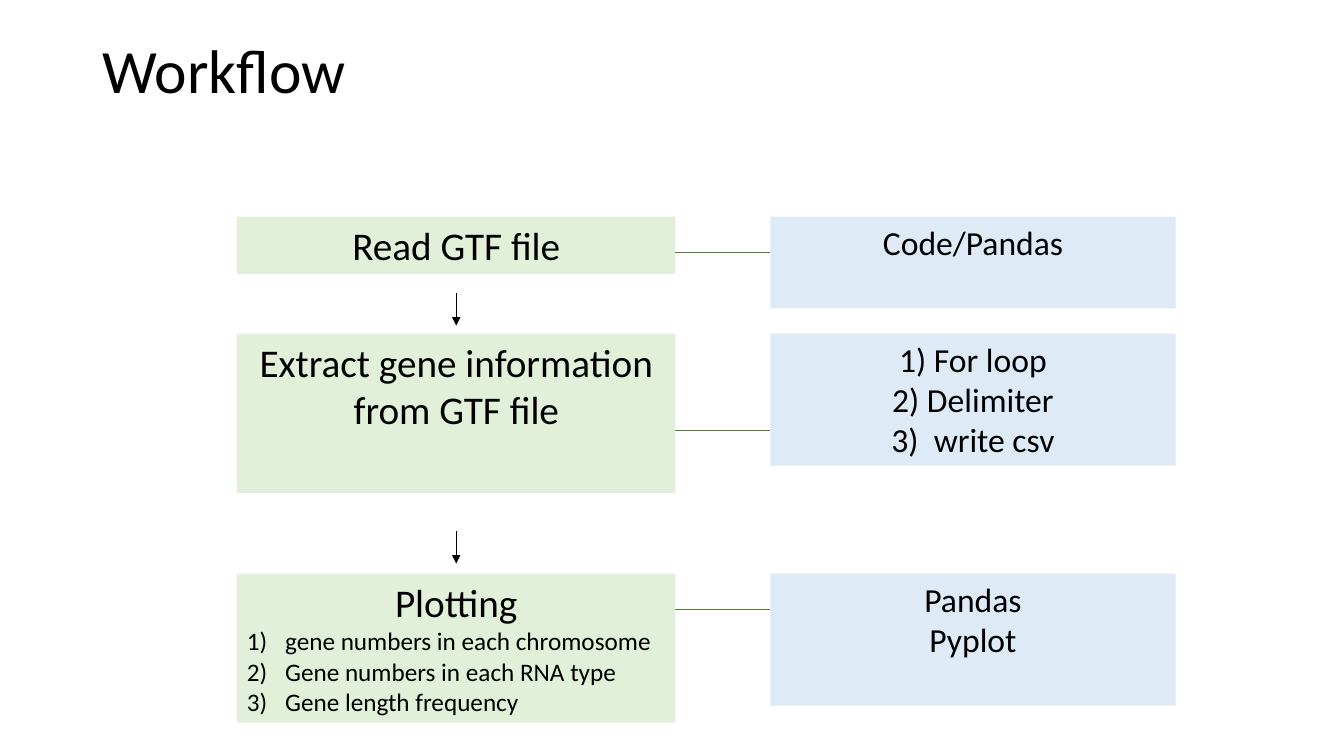
"""Build the gene annotation workflow slide."""
from lxml import etree
from pptx import Presentation, util as u
from pptx.dml.color import RGBColor
from pptx.enum import shapes, text
from pptx.oxml import ns

COLORS = {"step": "E2F0D9", "tool": "DEEBF7", "link": "548235", "ink": "000000"}

deck = Presentation()
deck.slide_width, deck.slide_height = u.Inches(13.33), u.Inches(7.5)
page = deck.slides.add_slide(deck.slide_layouts[6])


def write(box, lines, size, align=text.PP_ALIGN.CENTER, anchor=text.MSO_ANCHOR.TOP,
          spacing=1.0, list_size=None):
    """Fill a box with lines; with list_size, number all lines after the first."""
    frame = box.text_frame
    frame.word_wrap = True
    frame.vertical_anchor = anchor
    for index, line in enumerate(lines):
        para = frame.paragraphs[0] if index == 0 else frame.add_paragraph()
        numbered = list_size and index > 0
        para.alignment = text.PP_ALIGN.LEFT if numbered else align
        para.line_spacing = spacing
        if numbered:
            props = para._p.get_or_add_pPr()
            props.set("marL", str(u.Inches(0.38)))
            props.set("indent", str(u.Inches(-0.38)))
            etree.SubElement(props, ns.qn("a:buAutoNum"), type="arabicParenR")
        span = para.add_run()
        span.text = line
        span.font.name = "Calibri"
        span.font.size = u.Pt(list_size if numbered else size)
        span.font.color.rgb = RGBColor.from_string(COLORS["ink"])


def connect(start, end, color, arrow=False):
    """Draw a thin straight line between two points given in inches."""
    line = page.shapes.add_connector(
        shapes.MSO_CONNECTOR.STRAIGHT, *(u.Inches(value) for value in (*start, *end)))
    line.line.color.rgb = RGBColor.from_string(COLORS[color])
    line.line.width = u.Pt(0.5)
    if arrow:
        etree.SubElement(line.line._get_or_add_ln(), ns.qn("a:tailEnd"), type="triangle")
    etree.SubElement(line._element.spPr, ns.qn("a:effectLst"))


title = page.shapes.add_textbox(u.Inches(0.92), 0, u.Inches(11.5), u.Inches(1.45))
write(title, ["Workflow"], 44, align=text.PP_ALIGN.LEFT,
      anchor=text.MSO_ANCHOR.MIDDLE, spacing=0.9)

columns = {"step": (2.35, 4.35, 28), "tool": (7.64, 4.02, 24)}
rows = [
    (2.15, 2.5, {"step": (0.57, ["Read GTF file"]),
                 "tool": (0.91, ["Code/Pandas"])}),
    (3.31, 4.27, {"step": (1.58, ["Extract gene information from GTF file"]),
                  "tool": (1.31, ["1) For loop", "2) Delimiter", "3)  write csv"])}),
    (5.69, 6.05, {"step": (1.48, ["Plotting", "gene numbers in each chromosome",
                                  "Gene numbers in each RNA type",
                                  "Gene length frequency"]),
                  "tool": (1.31, ["Pandas", "Pyplot"])}),
]
step_left, step_width, _ = columns["step"]
step_right = step_left + step_width
step_middle = step_left + step_width / 2
tool_left = columns["tool"][0]

for top, link_y, cells in rows:
    for kind, (height, lines) in cells.items():
        left, width, size = columns[kind]
        box = page.shapes.add_shape(
            shapes.MSO_SHAPE.RECTANGLE,
            *(u.Inches(value) for value in (left, top, width, height)))
        box.shadow.inherit = False
        box.fill.solid()
        box.fill.fore_color.rgb = RGBColor.from_string(COLORS[kind])
        box.line.fill.background()
        write(box, lines, size, list_size=18 if kind == "step" else None)
    connect((step_right, link_y), (tool_left, link_y), "link")

for arrow_top in (2.91, 5.27):
    connect((step_middle, arrow_top), (step_middle, arrow_top + 0.32), "ink", arrow=True)

deck.save("out.pptx")
